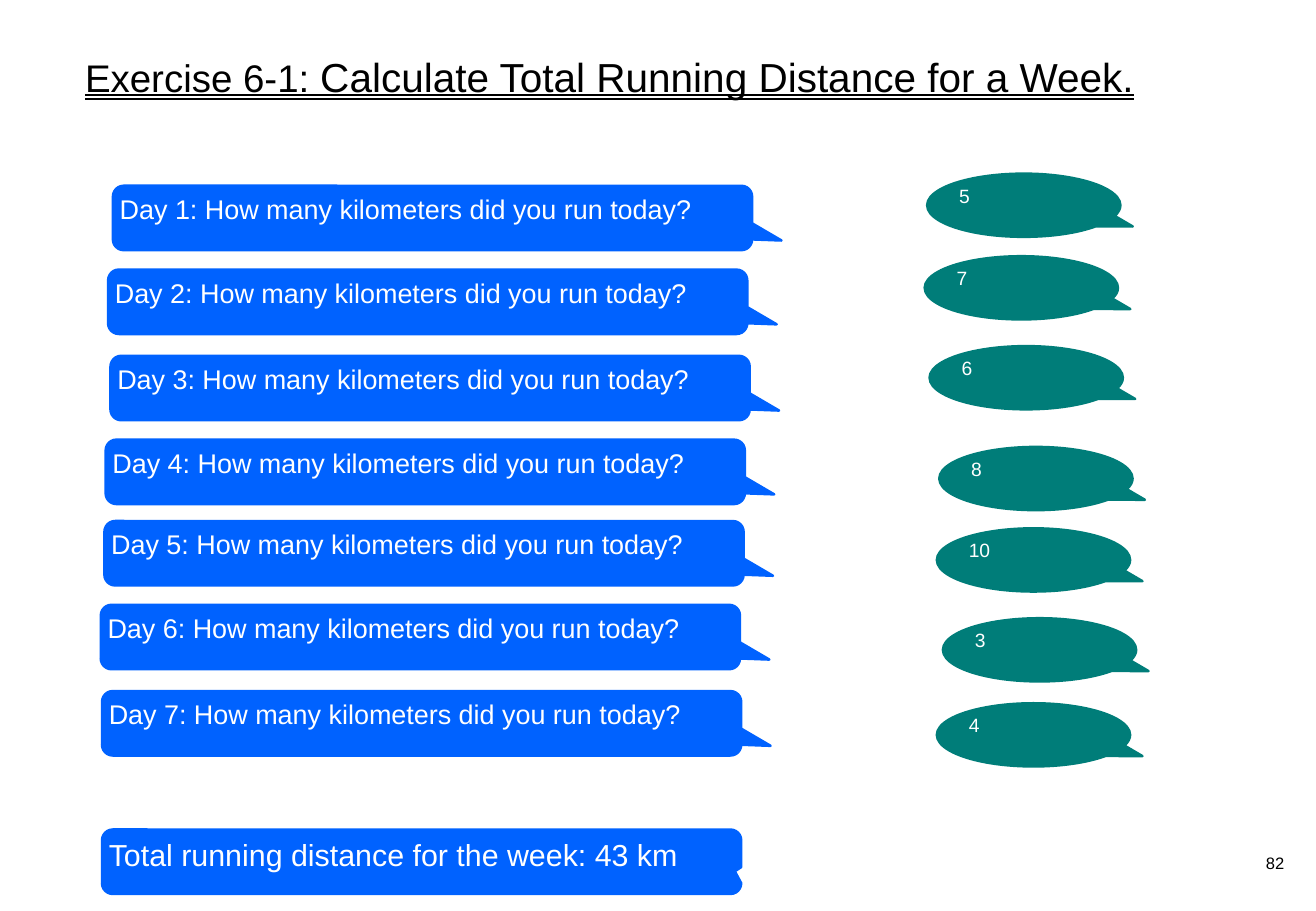
import pptx
import pptx.util
import pptx.dml.color
import pptx.enum.shapes
import pptx.enum.text

RGBColor = pptx.dml.color.RGBColor
BLUE = RGBColor(0x00, 0x62, 0xFF)
TEAL = RGBColor(0x00, 0x7D, 0x79)
WHITE = RGBColor(0xFF, 0xFF, 0xFF)
BLACK = RGBColor(0x00, 0x00, 0x00)
PX = 9144
ALIGN = pptx.enum.text.PP_ALIGN
ANCHOR = pptx.enum.text.MSO_ANCHOR
SHAPE = pptx.enum.shapes.MSO_SHAPE

QUESTION_SIZE = (526, 53)
ANSWER_SIZE = (159, 52)
QUESTION_TAIL = (0.546, 0.35, 0.167)
TOTAL_TAIL = (0.49, 0.148, 0.167)
ANSWER_TAIL = (0.564, 0.336)
DAYS = [
    ((93, 153), (763, 143), 5),
    ((89, 222), (761, 211), 7),
    ((91, 293), (765, 285), 6),
    ((87, 362), (773, 368), 8),
    ((86, 429), (771, 435), 10),
    ((83, 498), (776, 509), 3),
    ((84, 569), (771, 579), 4),
]


def emu(box):
    return [length * PX for length in box]


def write(shape, *pieces, color=BLACK, align=ALIGN.LEFT, anchor=ANCHOR.TOP,
          inset=0, spacing=1.0, after=0, underline=None):
    frame = shape.text_frame
    frame.word_wrap = True
    frame.vertical_anchor = anchor
    frame.margin_left = frame.margin_right = inset * PX
    frame.margin_top = frame.margin_bottom = inset * PX
    para = frame.paragraphs[0]
    para.alignment = align
    para.line_spacing = spacing
    para.space_after = pptx.util.Pt(after)
    for text, size in pieces:
        span = para.add_run()
        span.text = text
        span.font.name = "Arial"
        span.font.size = pptx.util.Pt(size)
        span.font.color.rgb = color
        span.font.underline = underline


def add_callout(page, box, kind, tail, color, text, size, **layout):
    shape = page.shapes.add_shape(kind, *emu(box))
    shape.shadow.inherit = False
    shape.fill.solid()
    shape.fill.fore_color.rgb = color
    shape.line.color.rgb = color
    shape.line.width = pptx.util.Pt(1.5)
    for index, value in enumerate(tail):
        shape.adjustments[index] = value
    write(shape, (text, size), color=WHITE, inset=3, **layout)


def add_title(page, box):
    write(page.shapes.add_textbox(*emu(box)),
          ("Exercise 6-1: ", 22.8),
          ("Calculate Total Running Distance for a Week.", 24),
          spacing=0.9, underline=pptx.enum.text.MSO_UNDERLINE.DOUBLE_LINE)


def add_question(page, box, text, size=16, tail=QUESTION_TAIL, after=4.9):
    add_callout(page, box, SHAPE.ROUNDED_RECTANGULAR_CALLOUT, tail, BLUE,
                text, size, after=after)


def add_answer(page, box, kilometers):
    add_callout(page, box, SHAPE.OVAL_CALLOUT, ANSWER_TAIL, TEAL,
                str(kilometers), 11.4, spacing=0.9)


def add_page_number(page, box, number):
    write(page.shapes.add_textbox(*emu(box)), (str(number), 9.8),
          align=ALIGN.RIGHT, anchor=ANCHOR.MIDDLE)


def main():
    deck = pptx.Presentation()
    deck.slide_width, deck.slide_height = emu((1083, 750))
    page = deck.slides.add_slide(deck.slide_layouts[6])
    add_title(page, (70, 47, 934, 63))
    for day, (question, answer, kilometers) in enumerate(DAYS, 1):
        add_question(page, question + QUESTION_SIZE,
                     f"Day {day}: How many kilometers did you run today?")
        add_answer(page, answer + ANSWER_SIZE, kilometers)
    total = sum(kilometers for _, _, kilometers in DAYS)
    add_question(page, (84, 683) + QUESTION_SIZE,
                 f"Total running distance for the week: {total} km",
                 size=18, tail=TOTAL_TAIL, after=6)
    add_page_number(page, (840, 698, 217, 24), 82)
    deck.save("out.pptx")


if __name__ == "__main__":
    main()
